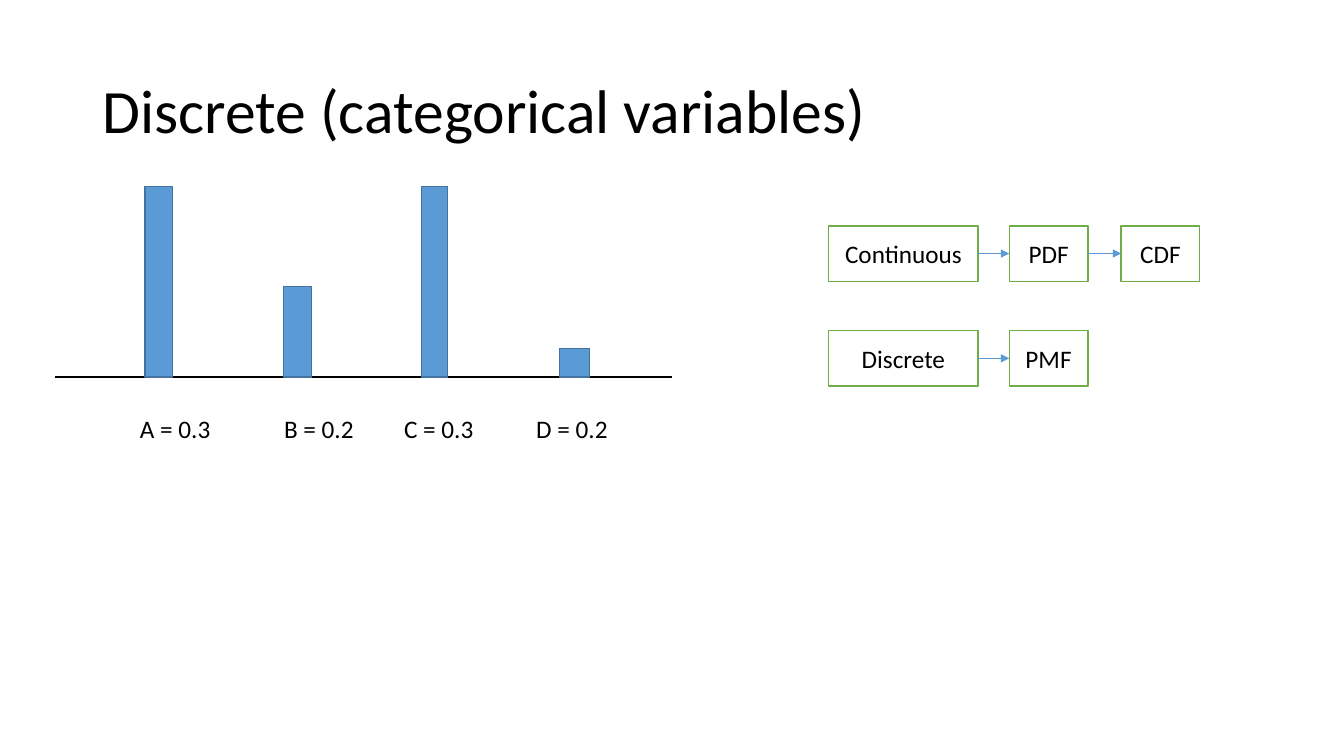
from pptx import Presentation
from pptx.dml.color import RGBColor as RGB
from pptx.enum.shapes import MSO_CONNECTOR as CON, MSO_SHAPE as SHAPE
from pptx.enum.text import MSO_ANCHOR as ANCHOR, PP_ALIGN as ALIGN
from pptx.oxml.ns import qn
from pptx.util import Inches, Pt
from lxml.etree import SubElement as Sub

BLACK = RGB(0x00, 0x00, 0x00)
WHITE = RGB(0xFF, 0xFF, 0xFF)
BLUE = RGB(0x5B, 0x9B, 0xD5)
NAVY = RGB(0x43, 0x73, 0x9E)
GREEN = RGB(0x70, 0xAD, 0x47)


def add_run(para, text, size):
    run = para.add_run()
    run.text = text
    run.font.name = "Calibri"
    run.font.size = Pt(size)
    run.font.color.rgb = BLACK


def add_box(slide, left, top, width, height, fill, edge):
    box = slide.shapes.add_shape(
        SHAPE.RECTANGLE, Inches(left), Inches(top), Inches(width), Inches(height))
    box.shadow.inherit = False
    box.fill.solid()
    box.fill.fore_color.rgb = fill
    box.line.color.rgb = edge
    box.line.width = Pt(1)
    return box


def add_line(slide, left, right, y, color, width, arrow=False):
    line = slide.shapes.add_connector(
        CON.STRAIGHT, Inches(left), Inches(y), Inches(right), Inches(y))
    line.line.color.rgb = color
    line.line.width = Pt(width)
    props = line.element.spPr
    if arrow:
        Sub(props.find(qn("a:ln")), qn("a:tailEnd"), type="triangle")
    Sub(props, qn("a:effectLst"))


def add_text(slide, left, top, width, height, wrap):
    frame = slide.shapes.add_textbox(
        Inches(left), Inches(top), Inches(width), Inches(height)).text_frame
    frame.word_wrap = wrap
    return frame


def add_title(slide, left, top, width, height):
    frame = add_text(slide, left, top, width, height, True)
    frame.vertical_anchor = ANCHOR.MIDDLE
    para = frame.paragraphs[0]
    para.line_spacing = 0.9
    add_run(para, "Discrete (categorical variables)", 44)


def add_bars(slide, left, top, width, height):
    base = top + height
    add_line(slide, left, left + width, base, BLACK, 1.5)
    bars = [(0.27, 1.89), (0.28, 0.9), (0.26, 1.89), (0.3, 0.28)]
    for i, (wide, tall) in enumerate(bars):
        add_box(slide, left + 0.89 + 1.37 * i, base - tall, wide, tall, BLUE, NAVY)

    frame = add_text(slide, left + 0.74, base + 0.31, 5.04, 0.4, False)
    para = frame.paragraphs[0]
    tabs = Sub(para._p.get_or_add_pPr(), qn("a:tabLst"))
    for stop in (1.43, 2.62, 3.93):
        Sub(tabs, qn("a:tab"), pos=str(Inches(stop)), algn="l")
    add_run(para, "\t".join(["A = 0.3", "B = 0.2", "C = 0.3", "D = 0.2"]), 18)


def add_flow(slide, left, top, height, names):
    slots = [(0, 1.48), (1.79, 0.78), (2.9, 0.78)]
    end = None
    for name, (step, width) in zip(names, slots):
        start = left + step
        box = add_box(slide, start, top, width, height, WHITE, GREEN)
        box.text_frame.vertical_anchor = ANCHOR.MIDDLE
        para = box.text_frame.paragraphs[0]
        para.alignment = ALIGN.CENTER
        add_run(para, name, 18)
        if end is not None:
            add_line(slide, end, start, top + height / 2, BLUE, 0.5, True)
        end = start + width


def main():
    deck = Presentation()
    deck.slide_width = Inches(13.33)
    deck.slide_height = Inches(7.5)
    slide = deck.slides.add_slide(deck.slide_layouts[6])
    add_title(slide, 0.92, 0.4, 11.5, 1.45)
    add_bars(slide, 0.55, 1.85, 6.12, 1.89)
    add_flow(slide, 8.22, 2.24, 0.55, ["Continuous", "PDF", "CDF"])
    add_flow(slide, 8.22, 3.28, 0.55, ["Discrete", "PMF"])
    deck.save("out.pptx")


if __name__ == "__main__":
    main()
